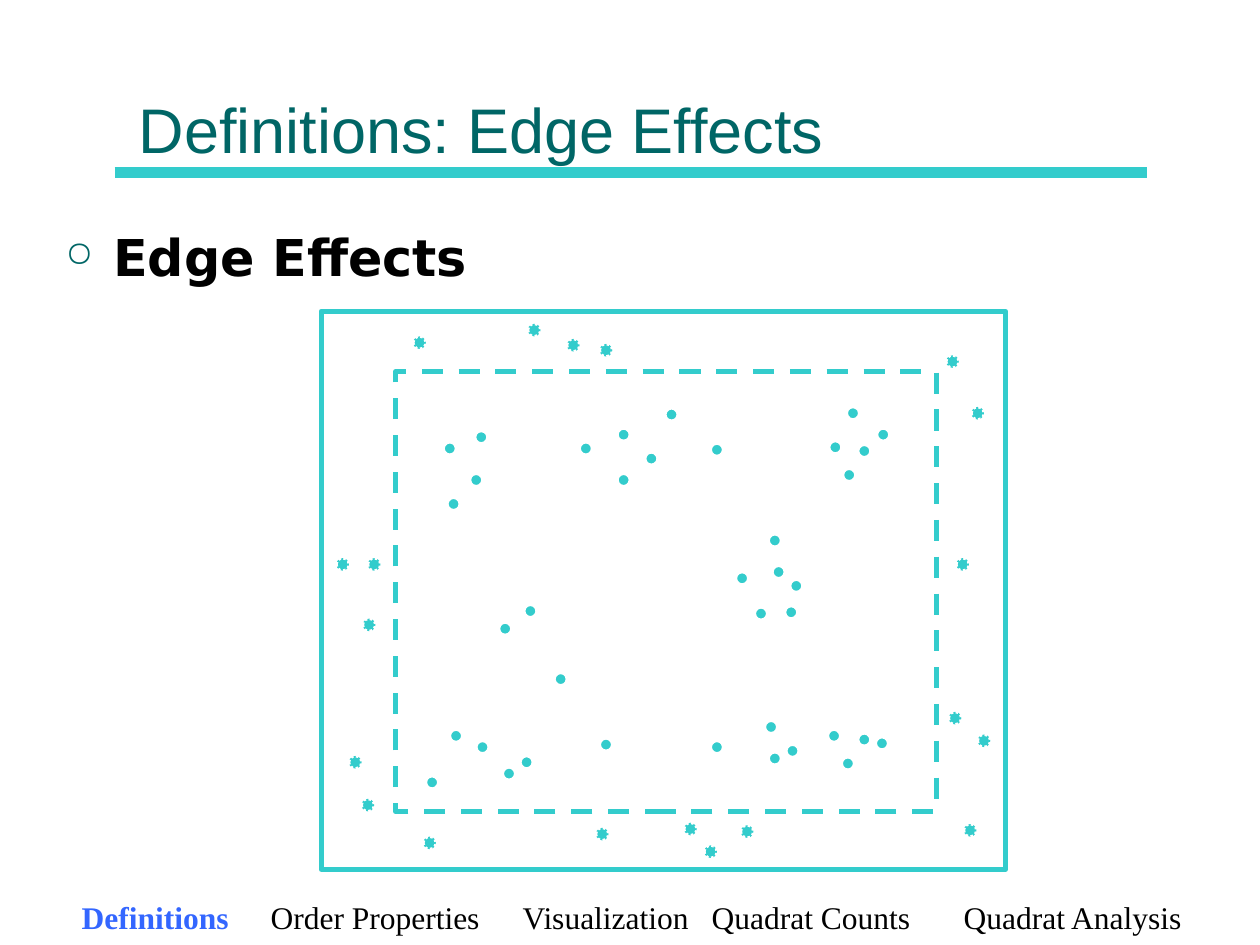
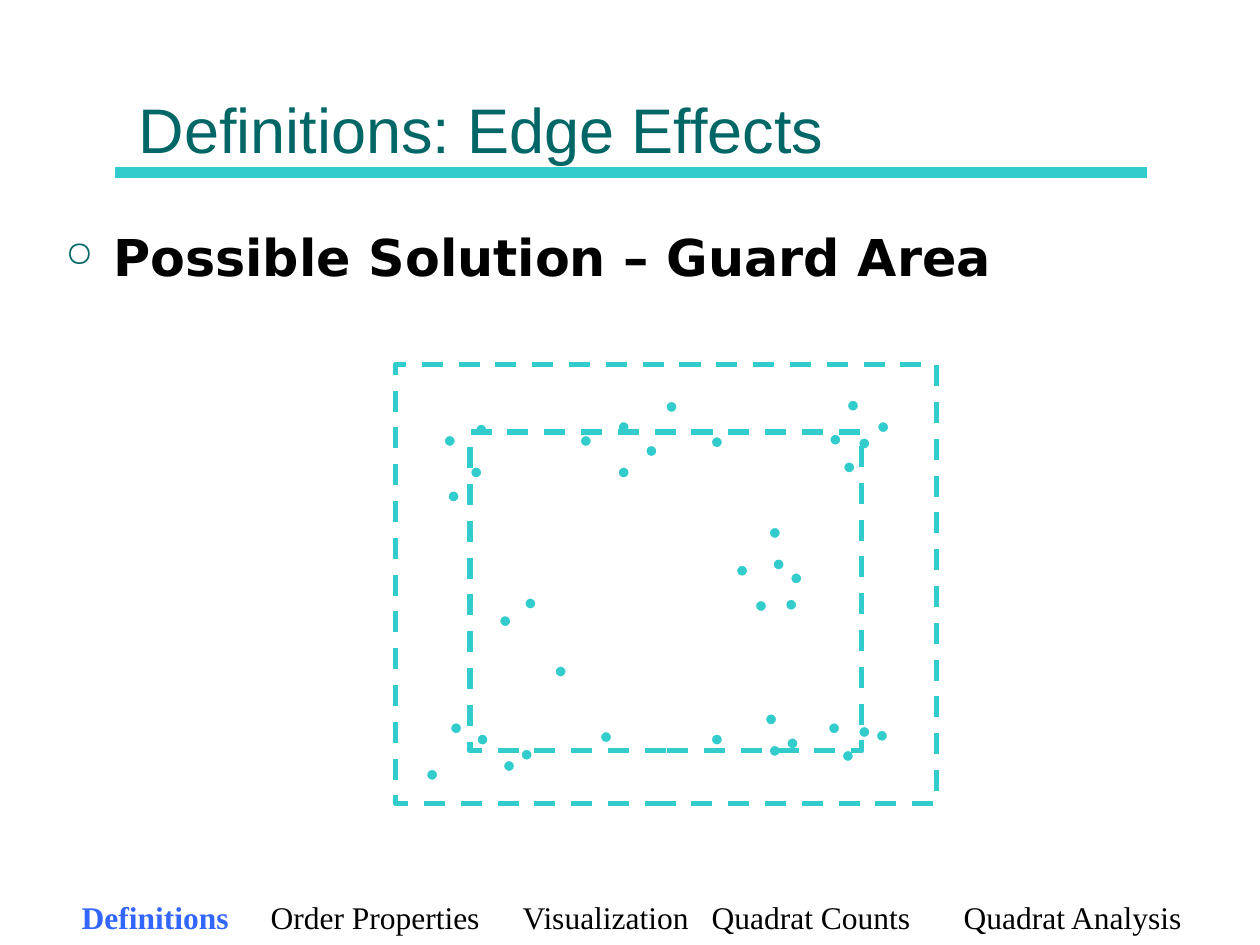
from dataclasses import dataclass

from lxml.etree import SubElement
from pptx import Presentation
from pptx.dml.color import RGBColor
from pptx.enum.dml import MSO_LINE
from pptx.enum.shapes import MSO_CONNECTOR, MSO_SHAPE
from pptx.enum.text import MSO_ANCHOR, MSO_AUTO_SIZE, PP_ALIGN
from pptx.oxml.ns import qn
from pptx.util import Inches, Pt

TEAL = "33CCCC"
DARK_TEAL = "006666"
WHITE = "FFFFFF"
BLACK = "000000"
HIGHLIGHT = "3366FF"

TITLE = "Definitions: Edge Effects"
POINT_SIZE = 0.1
GUARD_SLIDE_SHIFT = -0.06

# Footer sections and where each one starts inside the footer text area
SECTIONS = {
    "Definitions": 0.15,
    "Order Properties": 1.63,
    "Visualization": 3.59,
    "Quadrat Counts": 5.22,
    "Quadrat Analysis": 7.11,
}

# Left and top of the events inside the study area
STUDY_POINTS = [
    # top left
    (3.52, 3.51), (3.77, 3.42), (3.73, 3.76), (3.55, 3.95),
    # top centre
    (4.60, 3.51), (4.90, 3.40), (4.90, 3.76), (5.12, 3.59), (5.28, 3.24), (5.64, 3.52),
    # top right
    (6.58, 3.50), (6.72, 3.23), (6.96, 3.40), (6.81, 3.53), (6.69, 3.72),
    # middle
    (3.96, 4.94), (4.16, 4.80), (4.40, 5.34),
    (5.84, 4.54), (6.10, 4.24), (6.13, 4.49), (6.27, 4.60), (6.23, 4.81), (5.99, 4.82),
    # bottom left
    (3.38, 6.16), (3.57, 5.79), (3.78, 5.88), (3.99, 6.09), (4.13, 6.00), (4.76, 5.86),
    # bottom right
    (5.64, 5.88), (6.07, 5.72), (6.10, 5.97), (6.24, 5.91),
    (6.57, 5.79), (6.68, 6.01), (6.81, 5.82), (6.95, 5.85),
]

# Left and top of the events between the study area and the outer frame
OUTSIDE_POINTS = [
    # above
    (3.28, 2.67), (4.19, 2.57), (4.50, 2.69), (4.76, 2.73),
    # right
    (7.51, 2.82), (7.71, 3.23), (7.59, 4.43), (7.53, 5.65), (7.76, 5.83), (7.65, 6.54),
    # below
    (3.36, 6.64), (4.73, 6.57), (5.43, 6.53), (5.59, 6.71), (5.88, 6.55),
    # left
    (2.67, 4.43), (2.92, 4.43), (2.88, 4.91), (2.77, 6.00), (2.87, 6.34),
]


@dataclass
class Area:
    left: float
    top: float
    width: float
    height: float
    dashed: bool = True

    def box(self):
        return [Inches(v) for v in (self.left, self.top, self.width, self.height)]


@dataclass
class EdgeSlide:
    heading: str
    areas: list[Area]
    shift: float = 0
    show_outside: bool = False


EDGE_SLIDES = [
    EdgeSlide(
        "Edge Effects",
        [Area(2.55, 2.47, 5.43, 4.43, dashed=False), Area(3.14, 2.95, 4.29, 3.49)],
        show_outside=True,
    ),
    EdgeSlide(
        "Possible Solution – Guard Area",
        [Area(3.73, 3.43, 3.11, 2.53), Area(3.14, 2.89, 4.29, 3.49)],
        shift=GUARD_SLIDE_SHIFT,
    ),
]


def color(value: str) -> RGBColor:
    return RGBColor.from_string(value)


def style_font(font, name: str, size: float, font_color: str, bold: bool = False) -> None:
    font.name = name
    font.size = Pt(size)
    font.bold = bold
    font.color.rgb = color(font_color)


def add_title(slide) -> None:
    title = slide.shapes.title
    title.left, title.top, title.width, title.height = Area(1, 0.12, 8, 1.25).box()
    frame = title.text_frame
    frame.text = TITLE
    frame.auto_size = MSO_AUTO_SIZE.NONE
    frame.vertical_anchor = MSO_ANCHOR.BOTTOM
    paragraph = frame.paragraphs[0]
    paragraph.alignment = PP_ALIGN.LEFT
    style_font(paragraph.runs[0].font, "Arial", 36, DARK_TEAL)


def add_title_rule(slide) -> None:
    height = Inches(1.37)
    rule = slide.shapes.add_connector(
        MSO_CONNECTOR.STRAIGHT, Inches(0.91), height, Inches(9.1), height
    )
    rule.line.color.rgb = color(TEAL)
    rule.line.width = Pt(6)
    SubElement(rule._element.spPr, qn("a:effectLst"))


def add_heading(slide, text: str) -> None:
    frame = slide.shapes.add_textbox(*Area(0.42, 1.71, 9.13, 0.7).box()).text_frame
    frame.word_wrap = True
    frame.margin_top = Inches(0.08)
    paragraph = frame.paragraphs[0]
    paragraph.text = text

    # Hanging circle bullet
    properties = paragraph._p.get_or_add_pPr()
    properties.set("marL", str(Inches(0.38)))
    properties.set("indent", str(-Inches(0.38)))
    bullet_color = SubElement(properties, qn("a:buClr"))
    SubElement(bullet_color, qn("a:srgbClr"), val=DARK_TEAL)
    SubElement(properties, qn("a:buSzPct"), val="70000")
    SubElement(properties, qn("a:buChar"), char="○")

    style_font(paragraph.runs[0].font, "DejaVu Sans", 29, BLACK, bold=True)


def add_footer(slide, current: str) -> None:
    frame = slide.shapes.add_textbox(*Area(0.4, 7.08, 9.19, 0.4).box()).text_frame
    frame.word_wrap = True
    paragraph = frame.paragraphs[0]
    first, *others = SECTIONS.values()
    properties = paragraph._p.get_or_add_pPr()
    properties.set("marL", str(Inches(first)))
    properties.set("indent", "0")
    tabs = SubElement(properties, qn("a:tabLst"))
    for position in others:
        SubElement(tabs, qn("a:tab"), pos=str(Inches(position)), algn="l")

    for index, section in enumerate(SECTIONS):
        run = paragraph.add_run()
        run.text = f"\t{section}" if index else section
        active = section == current
        style_font(run.font, "Times New Roman", 18, HIGHLIGHT if active else BLACK, active)


def add_point(slide, left: float, top: float, starred: bool = False) -> None:
    point = slide.shapes.add_shape(
        MSO_SHAPE.OVAL, *Area(left, top, POINT_SIZE, POINT_SIZE).box()
    )
    point.shadow.inherit = False
    point.fill.solid()
    point.fill.fore_color.rgb = color(TEAL)
    point.line.color.rgb = color(WHITE)
    point.line.width = Pt(1.5)
    if starred:  # a dotted white outline cuts the disc into a star
        point.line.dash_style = MSO_LINE.ROUND_DOT


def add_area(slide, area: Area) -> None:
    frame = slide.shapes.add_shape(MSO_SHAPE.RECTANGLE, *area.box())
    frame.shadow.inherit = False
    frame.fill.background()
    frame.line.color.rgb = color(TEAL)
    frame.line.width = Pt(3)
    if area.dashed:
        frame.line.dash_style = MSO_LINE.DASH


def add_edge_slide(presentation, content: EdgeSlide) -> None:
    slide = presentation.slides.add_slide(presentation.slide_layouts[5])
    add_title_rule(slide)
    add_title(slide)
    add_heading(slide, content.heading)

    # Point pattern and its boundaries
    for left, top in STUDY_POINTS:
        add_point(slide, left, top + content.shift)
    for area in content.areas:
        add_area(slide, area)
    if content.show_outside:
        for left, top in OUTSIDE_POINTS:
            add_point(slide, left, top, starred=True)

    add_footer(slide, "Definitions")


def main() -> None:
    presentation = Presentation()
    presentation.slide_width = Inches(10)
    presentation.slide_height = Inches(7.5)
    for content in EDGE_SLIDES:
        add_edge_slide(presentation, content)
    presentation.save("out.pptx")


if __name__ == "__main__":
    main()
